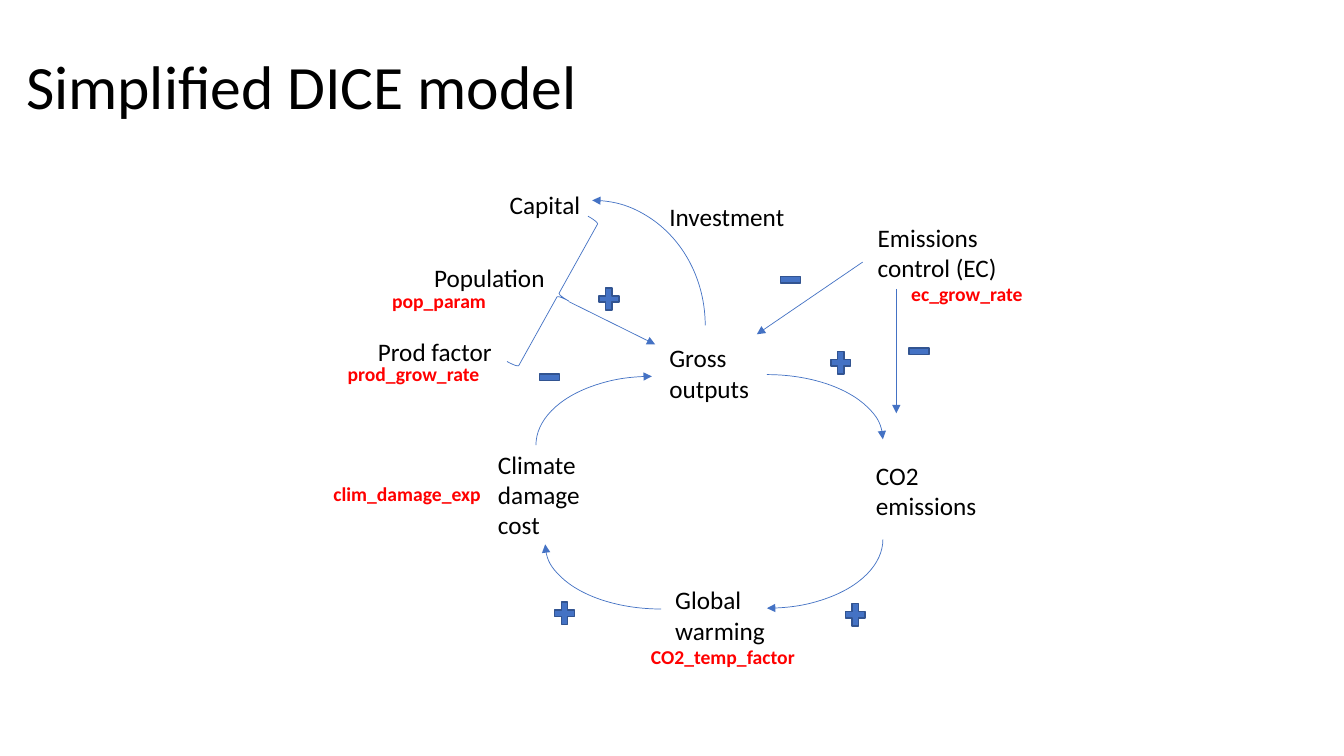
from dataclasses import dataclass

from pptx import Presentation
from pptx.dml.color import RGBColor
from pptx.enum.shapes import MSO_CONNECTOR, MSO_SHAPE
from pptx.enum.text import MSO_ANCHOR, MSO_AUTO_SIZE, PP_ALIGN
from pptx.oxml.ns import qn
from pptx.util import Inches, Pt
from lxml import etree

STRAIGHT = MSO_CONNECTOR.STRAIGHT
ARC, BRACE = MSO_SHAPE.ARC, MSO_SHAPE.RIGHT_BRACE
PLUS, MINUS = MSO_SHAPE.MATH_PLUS, MSO_SHAPE.MATH_MINUS
MIDDLE, LEFT = MSO_ANCHOR.MIDDLE, PP_ALIGN.LEFT
FIT_SHAPE = MSO_AUTO_SIZE.SHAPE_TO_FIT_TEXT
TITLE_ONLY = 5
COLUMNS, ROWS = 160, 90


@dataclass(frozen=True)
class Theme:
    font: str = "Calibri"
    ink: RGBColor = RGBColor(0, 0, 0)
    parameter: RGBColor = RGBColor(0xFF, 0, 0)
    accent: RGBColor = RGBColor(0x44, 0x72, 0xC4)
    sign_edge: RGBColor = RGBColor(0x32, 0x54, 0x91)
    title_size: int = 44
    label_size: int = 18
    parameter_size: int = 14
    thin: float = 0.5
    edge: float = 1


class DiagramSlide:
    """Draws on one slide; all lengths are columns and rows of its grid."""

    def __init__(self, deck, theme):
        self.theme = theme
        self.slide = deck.slides.add_slide(deck.slide_layouts[TITLE_ONLY])
        self.column = deck.slide_width / COLUMNS
        self.row = deck.slide_height / ROWS

    def place(self, x, y, width, height):
        return (round(x * self.column), round(y * self.row),
                round(width * self.column), round(height * self.row))

    def styled_run(self, paragraph, text, size, color, bold=False):
        run = paragraph.add_run()
        run.text = text
        run.font.name, run.font.size = self.theme.font, Pt(size)
        run.font.color.rgb, run.font.bold = color, bold

    def title(self, text, *box):
        holder = self.slide.shapes.title
        holder.left, holder.top, holder.width, holder.height = self.place(*box)
        frame = holder.text_frame
        frame.vertical_anchor = MIDDLE
        paragraph = frame.paragraphs[0]
        paragraph.alignment, paragraph.line_spacing = LEFT, 0.9
        self.styled_run(paragraph, text, self.theme.title_size, self.theme.ink)

    def text(self, lines, box, size, color, bold=False, wrap=True):
        frame = self.slide.shapes.add_textbox(*self.place(*box)).text_frame
        frame.word_wrap, frame.auto_size = wrap, FIT_SHAPE
        for index, line in enumerate(lines):
            paragraph = frame.add_paragraph() if index else frame.paragraphs[0]
            self.styled_run(paragraph, line, size, color, bold)

    def label(self, lines, *box):
        self.text(lines, box, self.theme.label_size, self.theme.ink)

    def parameter(self, name, x, y, width, wrap=True):
        self.text([name], (x, y, width, 4.1), self.theme.parameter_size,
                  self.theme.parameter, bold=True, wrap=wrap)

    def stroke(self, shape, color, width, arrow_end=None):
        shape.line.color.rgb, shape.line.width = color, Pt(width)
        if arrow_end:
            outline = shape.element.spPr.find(qn("a:ln"))
            etree.SubElement(outline, qn(f"a:{arrow_end}"), type="triangle")

    def arrow(self, x1, y1, x2, y2):
        link = self.slide.shapes.add_connector(
            STRAIGHT, *self.place(x1, y1, x2, y2))
        self.stroke(link, self.theme.accent, self.theme.thin, "tailEnd")
        etree.SubElement(link.element.spPr, qn("a:effectLst"))

    def outline(self, kind, box, rotation=0, flip=None, arrow_end=None):
        shape = self.slide.shapes.add_shape(kind, *self.place(*box))
        shape.shadow.inherit = False
        shape.fill.background()
        shape.rotation = rotation
        if flip:
            shape.element.spPr.find(qn("a:xfrm")).set(flip, "1")
        self.stroke(shape, self.theme.accent, self.theme.thin, arrow_end)
        return shape

    def sign(self, kind, x, y):
        height = 3.6 if kind == PLUS else 3.2
        shape = self.slide.shapes.add_shape(kind, *self.place(x, y, 3.2, height))
        shape.shadow.inherit = False
        shape.fill.solid()
        shape.fill.fore_color.rgb = self.theme.accent
        self.stroke(shape, self.theme.sign_edge, self.theme.edge)


deck = Presentation()
deck.slide_width, deck.slide_height = Inches(13.33), Inches(7.5)
dice = DiagramSlide(deck, Theme())
dice.title("Simplified DICE model", 1.9, 2, 138, 17.4)

# Quantities of the model
for lines, *box in (
    (["Gross", "outputs"], 78.5, 40.2, 22.3, 8.5),
    (["CO2 emissions"], 103.1, 54.2, 18.7, 8.5),
    (["Global warming"], 79.2, 69, 18.7, 8.5),
    (["Climate damage cost"], 58.1, 52.9, 15.8, 12.1),
    (["Emissions control (EC)"], 103.3, 25.9, 22.7, 8.5),
    (["Capital"], 59.5, 22, 14.4, 4.8),
    (["Investment"], 78.5, 23.4, 17.9, 4.8),
    (["Population"], 50.5, 30.6, 18.7, 4.8),
    (["Prod factor"], 43.8, 39.5, 18.7, 4.8),
):
    dice.label(lines, *box)

# Parameters beside the quantities they drive
for name, x, y, width in (
    ("CO2_temp_factor", 76.3, 76.2, 20.3),
    ("clim_damage_exp", 38.5, 56.8, 23),
    ("pop_param", 45.5, 33.8, 25.8),
    ("ec_grow_rate", 107.3, 33, 18.7),
):
    dice.parameter(name, x, y, width)
dice.parameter("prod_grow_rate", 40.2, 42.5, 18.2, wrap=False)

# Production inputs gathered by a brace
inputs = dice.outline(BRACE, (65, 25.2, 2.9, 19.8), rotation=29.1)
inputs.adjustments[0], inputs.adjustments[1] = 0.083, 0.502

# Straight influences: inputs on outputs, emissions control on both targets
for ends in ((67.7, 35.9, 78, 41), (106.7, 34.4, 106.7, 49.2),
             (102.7, 31.2, 90.1, 39.8)):
    dice.arrow(*ends)

# Climate feedback loop, then the investment loop
for box, rotation, flip, arrow_end in (
    ((77.5, 44.6, 27.6, 15.4), 0, None, "tailEnd"),
    ((77.5, 56, 27.6, 16.4), 180, "flipH", "headEnd"),
    ((64.9, 57.1, 27.6, 15.4), 180, None, "tailEnd"),
    ((63.8, 44.8, 27.6, 16.4), 0, "flipH", "headEnd"),
    ((55.6, 25.3, 29.8, 26.9), 270, "flipV", "tailEnd"),
):
    dice.outline(ARC, box, rotation, flip, arrow_end)

# Direction of each influence
for kind, spots in (
    (PLUS, ((98.5, 41.4), (100.2, 71.4), (65.6, 71.2), (70.9, 33.8))),
    (MINUS, ((63.8, 43.3), (92.5, 31.7), (107.8, 40.2))),
):
    for x, y in spots:
        dice.sign(kind, x, y)

deck.save("out.pptx")
